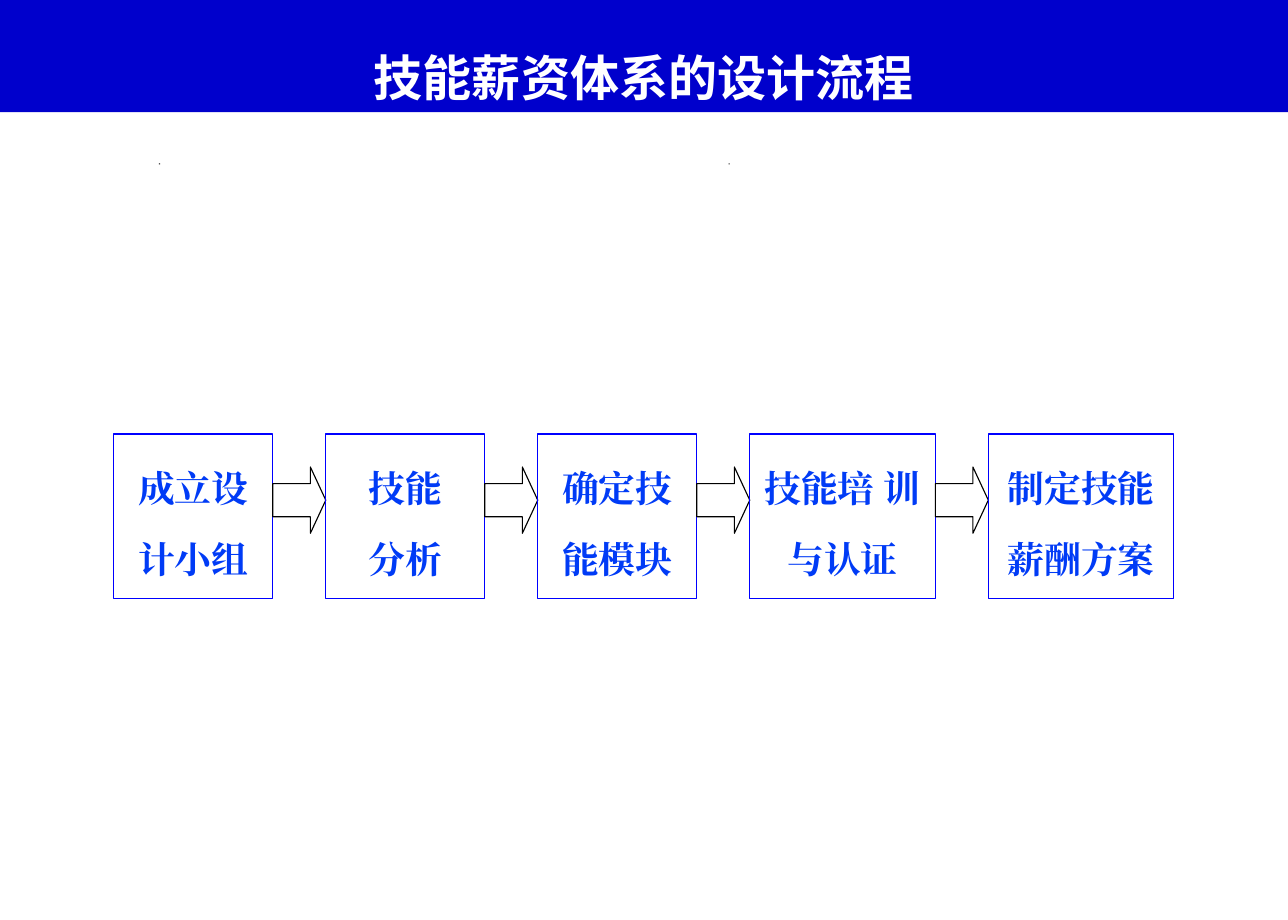
from pptx import Presentation
from pptx import util as u
from pptx.dml import color
from pptx.enum import shapes, text
from pptx.oxml import ns
from lxml import etree

Pt = u.Pt

# Layout in points
STEP_TOP, STEP_HEIGHT = 283, 107.3
ARROW_TOP, ARROW_WIDTH, ARROW_HEIGHT = 304.6, 34.56, 43.2
FLOW_LEFT = 74.2

# Width, then lines of (wording, first-line indent)
STEPS = [
    (103.7, [("成立设", 0), ("计小组", 0)]),
    (103.7, [("技能", -17), ("分析", 0)]),
    (103.7, [("确定技", -11), ("能模块", 0)]),
    (121, [("技能培 训", 0), ("与认证", 0)]),
    (121, [("制定技能", 0), ("薪酬方案", 0)]),
]


def rgb(value):
    return color.RGBColor.from_string(value)


def set_values(target, values):
    for name, value in values.items():
        setattr(target, name, value)


def write_line(para, wording, size, face, shade, spacing, indent=0):
    if indent:
        para._p.get_or_add_pPr().set("indent", str(Pt(indent)))
    set_values(para, {"alignment": text.PP_ALIGN.CENTER, "line_spacing": spacing})
    span = para.add_run()
    span.text = wording
    set_values(span.font, {"size": Pt(size), "bold": True, "name": face})
    span.font.color.rgb = rgb(shade)
    # East Asian typeface
    east = etree.SubElement(span.font._element, ns.qn("a:ea"))
    east.set("typeface", face)


def add_block(page, kind, left, top, width, height, fill=None, line=None):
    block = page.shapes.add_shape(kind, Pt(left), Pt(top), Pt(width), Pt(height))
    block.shadow.inherit = False
    if fill:
        block.fill.solid()
        block.fill.fore_color.rgb = rgb(fill)
    else:
        block.fill.background()
    if line:
        block.line.color.rgb = rgb(line)
        block.line.width = Pt(0.75)
    else:
        block.line.fill.background()
    return block


def add_title(page, wording):
    title = page.shapes.title
    set_values(title, {"left": Pt(0), "top": Pt(0),
                       "width": Pt(840), "height": Pt(73.2)})
    title.fill.solid()
    title.fill.fore_color.rgb = rgb("0000CC")
    set_values(title.text_frame, {
        "auto_size": text.MSO_AUTO_SIZE.NONE, "word_wrap": True,
        "vertical_anchor": text.MSO_ANCHOR.BOTTOM,
        "margin_left": Pt(8), "margin_right": Pt(8),
        "margin_top": Pt(4), "margin_bottom": Pt(4)})
    write_line(title.text_frame.paragraphs[0], wording, 32,
               "Noto Sans CJK SC", "FFFFFF", 3.0)


def add_step(page, left, width, lines):
    box = add_block(page, shapes.MSO_SHAPE.RECTANGLE, left, STEP_TOP,
                    width, STEP_HEIGHT, line="0000FF")
    frame = box.text_frame
    set_values(frame, {"word_wrap": True, "vertical_anchor": text.MSO_ANCHOR.TOP})
    for index, (wording, indent) in enumerate(lines):
        para = frame.add_paragraph() if index else frame.paragraphs[0]
        write_line(para, wording, 24, "Times New Roman", "003BF6", 1.6, indent)


def add_arrow(page, left):
    arrow = add_block(page, shapes.MSO_SHAPE.RIGHT_ARROW, left, ARROW_TOP,
                      ARROW_WIDTH, ARROW_HEIGHT, "FFFFFF", "000000")
    arrow.adjustments[0] = 0.5
    arrow.adjustments[1] = 0.29


def main():
    deck = Presentation()
    set_values(deck, {"slide_width": Pt(840), "slide_height": Pt(600)})
    page = deck.slides.add_slide(deck.slide_layouts[5])
    add_title(page, "技能薪资体系的设计流程")

    # Small dots under the title
    for left in (103.7, 475.2):
        add_block(page, shapes.MSO_SHAPE.RECTANGLE, left, 106.5, 0.7, 0.7, "000000")

    # Steps joined by arrows
    left = FLOW_LEFT
    for index, (width, lines) in enumerate(STEPS):
        if index:
            add_arrow(page, left)
            left += ARROW_WIDTH
        add_step(page, left, width, lines)
        left += width

    deck.save("out.pptx")


if __name__ == "__main__":
    main()
